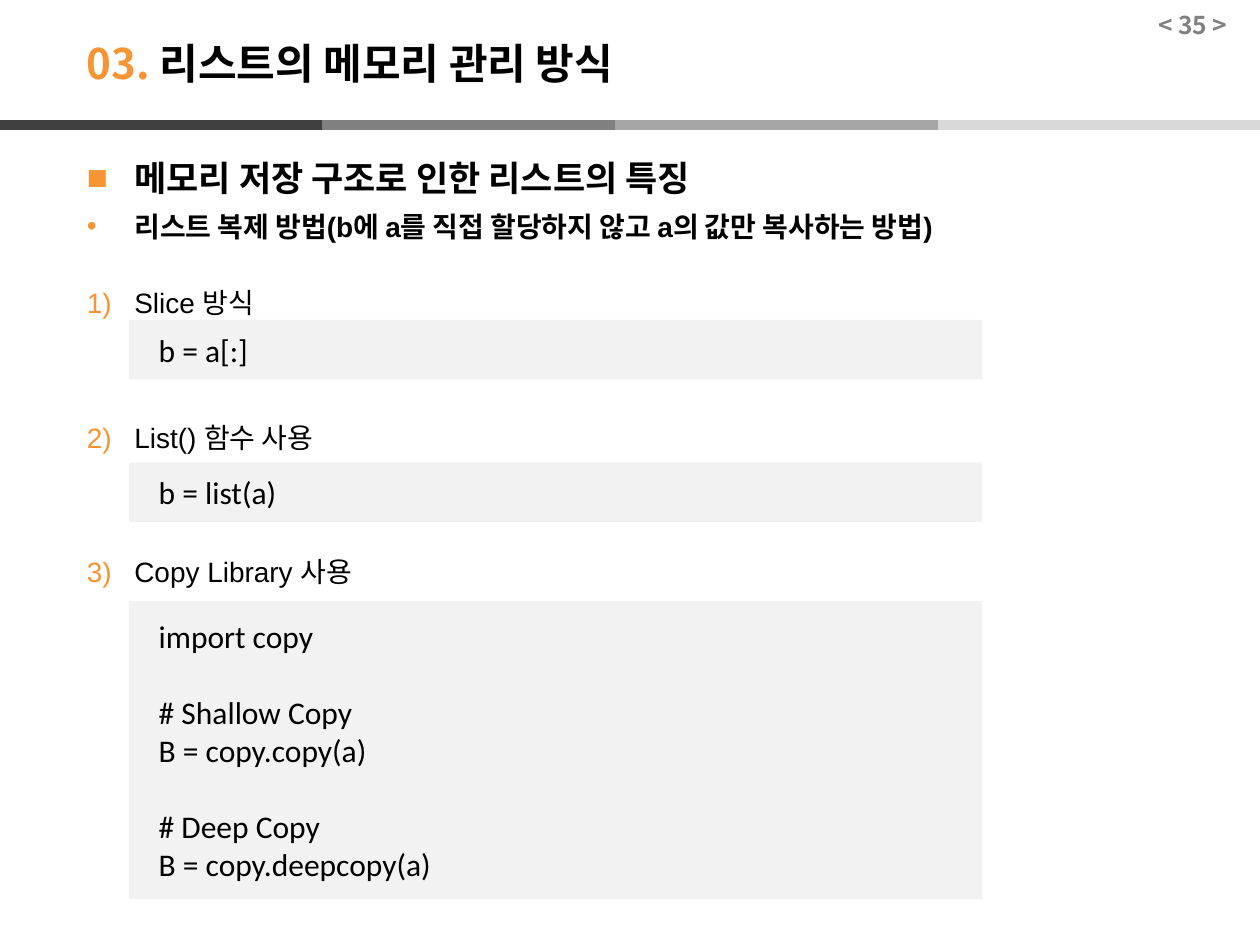
from lxml import etree
from pptx import Presentation
from pptx.dml.color import RGBColor
from pptx.enum.shapes import MSO_CONNECTOR, MSO_SHAPE
from pptx.enum.text import MSO_ANCHOR, PP_ALIGN
from pptx.oxml.ns import qn
from pptx.util import Cm, Pt

LINE = MSO_CONNECTOR.STRAIGHT
RECT = MSO_SHAPE.RECTANGLE
TOP, MIDDLE = MSO_ANCHOR.TOP, MSO_ANCHOR.MIDDLE
LEFT = PP_ALIGN.LEFT

BLACK = RGBColor(0x00, 0x00, 0x00)
ORANGE = RGBColor(0xF7, 0x94, 0x33)
GRAY = RGBColor(0x80, 0x80, 0x80)
PALE = RGBColor(0xF2, 0xF2, 0xF2)
SHADES = [RGBColor(0x40, 0x40, 0x40), GRAY,
          RGBColor(0xA6, 0xA6, 0xA6), RGBColor(0xD9, 0xD9, 0xD9)]

KOREAN, BODY, CODE = "Noto Sans CJK KR", "Arial", "Calibri"
MARGIN = 1.5


class Page:
    def __init__(self, slide):
        self.shapes = slide.shapes

    def style(self, par, size, face, bold=False, color=BLACK):
        par.alignment = LEFT
        font = par.font
        font.size, font.name, font.bold = Pt(size), face, bold
        font.color.rgb = color
        base = par._p.pPr.find(qn("a:defRPr"))
        etree.SubElement(base, qn("a:ea"), typeface=KOREAN)

    def bar(self, left, right, y, color):
        line = self.shapes.add_connector(LINE, Cm(left), Cm(y), Cm(right), Cm(y))
        line.line.color.rgb = color
        line.line.width = Pt(6)
        etree.SubElement(line._element.spPr, qn("a:effectLst"))

    def box(self, left, top, width, height, anchor=TOP):
        frame = self.shapes.add_textbox(
            Cm(left), Cm(top), Cm(width), Cm(height)).text_frame
        frame.word_wrap = True
        frame.vertical_anchor = anchor
        return frame

    def label(self, frame, parts, size):
        """Fill one bold line from (text, colour) parts."""
        par = frame.paragraphs[0]
        for text, color in parts:
            run = par.add_run()
            run.text = text
            run.font.color.rgb = color
        self.style(par, size, KOREAN, True)

    def items(self, frame, texts, size, mark=None, bold=False, pad=0, gap=0):
        """Fill a list; without a mark the items are numbered."""
        for i, text in enumerate(texts):
            par = frame.add_paragraph() if i else frame.paragraphs[0]
            par.text = text
            par.line_spacing = 1.5
            par.space_before = Pt(gap if i else pad)
            par.space_after = Pt(pad)
            props = par._p.get_or_add_pPr()
            props.set("marL", str(Cm(0.96)))
            props.set("indent", str(-Cm(0.96)))
            tint = etree.SubElement(props, qn("a:buClr"))
            etree.SubElement(tint, qn("a:srgbClr"), val=str(ORANGE))
            if mark:
                etree.SubElement(props, qn("a:buFont"), typeface=BODY)
                etree.SubElement(props, qn("a:buChar"), char=mark)
            else:
                etree.SubElement(props, qn("a:buAutoNum"), type="arabicParenR")
            self.style(par, size, BODY, bold)

    def code(self, left, top, height, blocks):
        """Draw a code panel, one line apart between blocks."""
        panel = self.shapes.add_shape(
            RECT, Cm(left), Cm(top), Cm(17.2), Cm(height))
        panel.shadow.inherit = False
        panel.fill.solid()
        panel.fill.fore_color.rgb = PALE
        panel.line.fill.background()
        frame = panel.text_frame
        frame.word_wrap = True
        frame.vertical_anchor = MIDDLE
        frame.margin_left = Cm(0.6)
        par = frame.paragraphs[0]
        for b, block in enumerate(blocks):
            for i, text in enumerate(block):
                if b or i:
                    par = frame.add_paragraph()
                par.text = text
                if b and not i:
                    par.space_before = Pt(22)
                self.style(par, 18, CODE)


def main():
    deck = Presentation()
    deck.slide_width, deck.slide_height = Cm(25.4), Cm(19.05)
    page = Page(deck.slides.add_slide(deck.slide_layouts[6]))

    edges = [0, 6.5, 12.4, 18.9, 25.4]
    for left, right, shade in zip(edges, edges[1:], SHADES):
        page.bar(left, right, 2.52, shade)

    page.label(page.box(MARGIN, 0.5, 19, 1.53, MIDDLE),
               [("03. ", ORANGE), ("리스트의 메모리 관리 방식", BLACK)], 24)
    page.label(page.box(23.1, 0, 2.28, 1, MIDDLE), [("< 35 >", GRAY)], 14)

    page.items(page.box(MARGIN, 2.6, 22.8, 1.6),
               ["메모리 저장 구조로 인한 리스트의 특징"], 20, "■", True)
    page.items(page.box(MARGIN, 3.76, 21.6, 1.22),
               ["리스트 복제 방법(b에 a를 직접 할당하지 않고 a의 값만 복사하는 방법)"],
               16, "•", True, pad=5)
    page.items(page.box(MARGIN, 5.3, 21.6, 8.43),
               ["Slice 방식", "List() 함수 사용", "Copy Library 사용"],
               16, pad=5, gap=43)

    page.code(2.6, 6.45, 1.2, [["b = a[:]"]])
    page.code(2.6, 9.32, 1.2, [["b = list(a)"]])
    page.code(2.6, 12.12, 6, [["import copy"],
                              ["# Shallow Copy", "B = copy.copy(a)"],
                              ["# Deep Copy", "B = copy.deepcopy(a)"]])
    deck.save("out.pptx")


if __name__ == "__main__":
    main()
